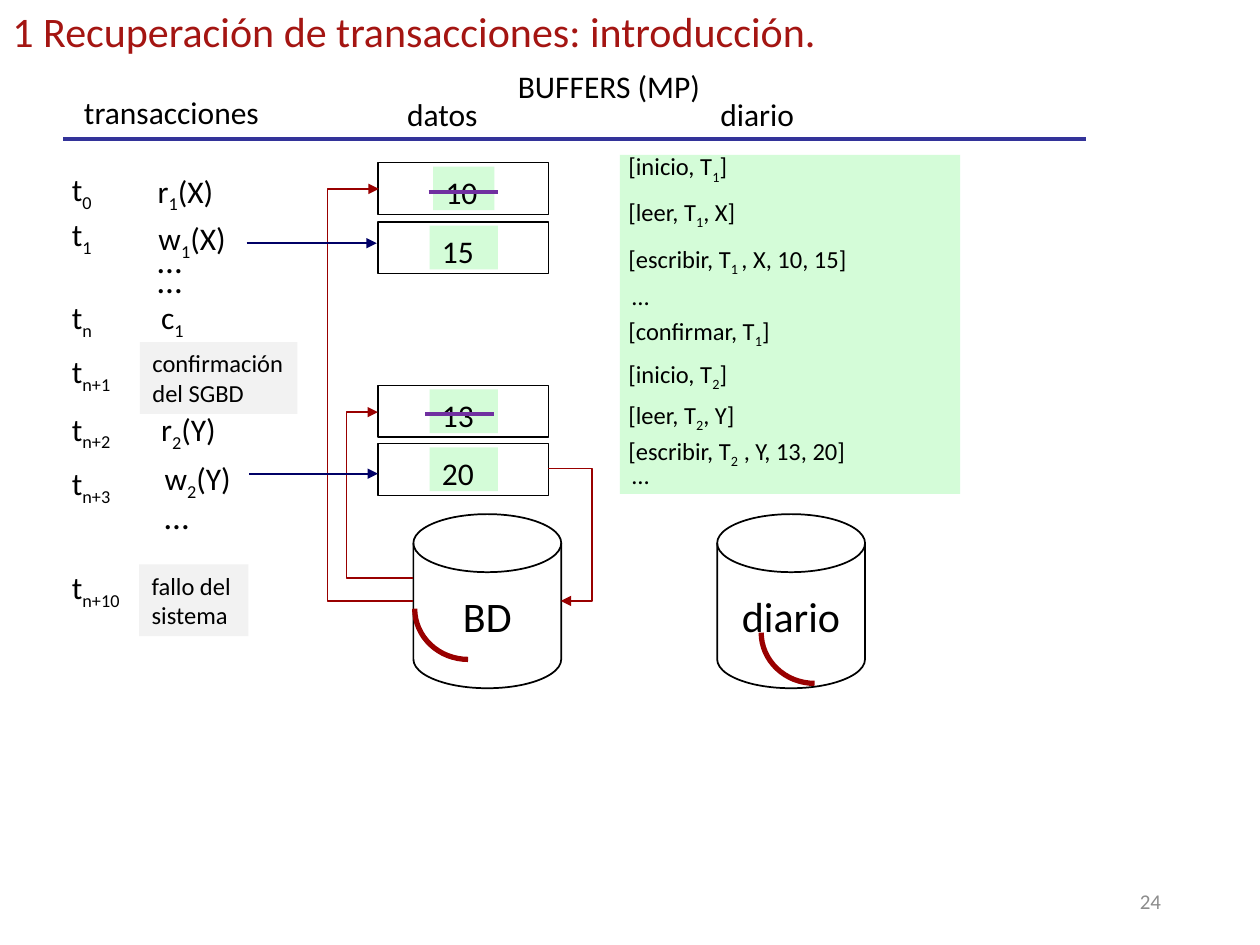
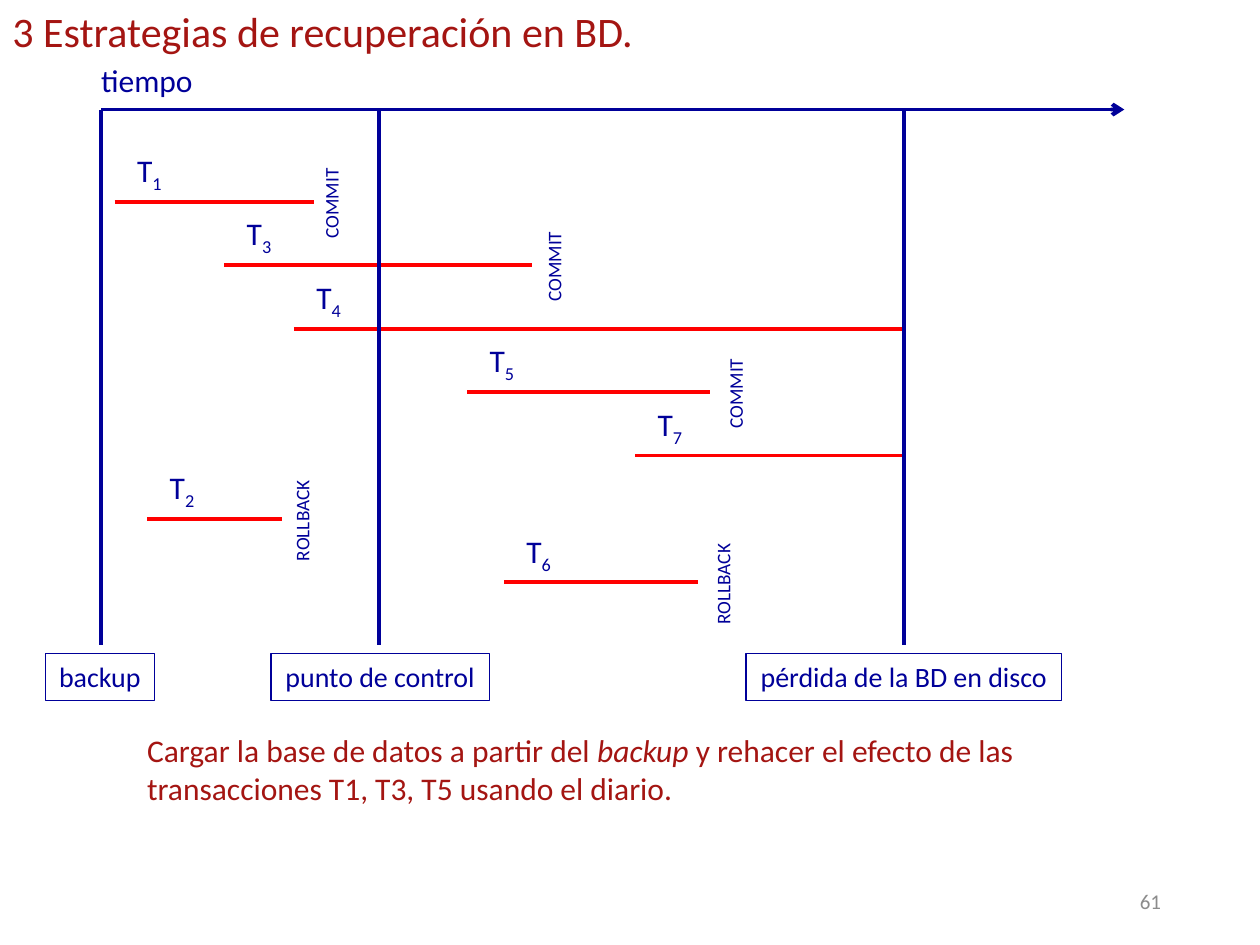
from math import cos, pi, sin

from lxml import etree
from pptx import Presentation
from pptx.dml.color import RGBColor
from pptx.enum.shapes import MSO_CONNECTOR, MSO_SHAPE
from pptx.enum.text import MSO_ANCHOR, PP_ALIGN
from pptx.oxml.ns import qn
from pptx.util import Pt

LEFT, CENTER, RIGHT = PP_ALIGN.LEFT, PP_ALIGN.CENTER, PP_ALIGN.RIGHT
TOP, MIDDLE = MSO_ANCHOR.TOP, MSO_ANCHOR.MIDDLE
RECT, DISK = MSO_SHAPE.RECTANGLE, MSO_SHAPE.FLOWCHART_MAGNETIC_DISK
STRAIGHT, ELBOW = MSO_CONNECTOR.STRAIGHT, MSO_CONNECTOR.ELBOW

FONT = "Calibri"
COLORS = {
    "black": "000000", "white": "FFFFFF", "title": "A41512", "page": "8C8C8C",
    "rule": "333399", "mint": "D4FCD8", "gray": "F2F2F2", "dark_red": "990000",
    "write": "000066", "strike": "7030A0", "navy": "000099", "red": "FF0000",
}


def rgb(name):
    return RGBColor.from_string(COLORS[name])


def write(shape, text, size=18, color="black", align=LEFT, anchor=TOP,
          wrap=True, braces="sub"):
    """Fill a shape with text; the parts in braces become subscript or italic."""
    tf = shape.text_frame
    tf.word_wrap = wrap
    tf.vertical_anchor = anchor
    p = tf.paragraphs[0]
    p.alignment = align
    for i, part in enumerate(text.replace("}", "{").split("{")):
        if not part:
            continue
        r = p.add_run()
        r.text = part
        r.font.name = FONT
        r.font.size = Pt(size)
        r.font.color.rgb = rgb(color)
        if i % 2 and braces == "sub":
            r._r.get_or_add_rPr().set("baseline", "-25000")
        elif i % 2:
            r.font.italic = True


def add_text(s, text, x, y, w, h=28.8, **fmt):
    tb = s.shapes.add_textbox(Pt(x), Pt(y), Pt(w), Pt(h))
    write(tb, text, **fmt)
    return tb


def paint(shape, fill=None, line=None, weight=0.75):
    shape.shadow.inherit = False
    if fill:
        shape.fill.solid()
        shape.fill.fore_color.rgb = rgb(fill)
    else:
        shape.fill.background()
    if line:
        shape.line.color.rgb = rgb(line)
        shape.line.width = Pt(weight)
    else:
        shape.line.fill.background()


def add_box(s, x, y, w, h, text="", kind=RECT, fill=None, line=None,
            weight=0.75, **fmt):
    box = s.shapes.add_shape(kind, Pt(x), Pt(y), Pt(w), Pt(h))
    paint(box, fill, line, weight)
    if text:
        write(box, text, **fmt)


def add_line(s, x1, y1, x2, y2, color, weight=2.25, arrow=None, kind=STRAIGHT):
    c = s.shapes.add_connector(kind, Pt(x1), Pt(y1), Pt(x2), Pt(y2))
    c.line.color.rgb = rgb(color)
    c.line.width = Pt(weight)
    if arrow:
        ln = c.line._get_or_add_ln()
        etree.SubElement(ln, qn("a:tailEnd")).set("type", arrow)
    etree.SubElement(c._element.spPr, qn("a:effectLst"))
    return c


def add_elbow(s, x1, y1, x2, y2, via_x):
    """Draw a bent arrow whose vertical leg runs at via_x."""
    c = add_line(s, x1, y1, x2, y2, "dark_red", 1, "triangle", ELBOW)
    geom = c._element.spPr.find(qn("a:prstGeom"))
    guides = geom.find(qn("a:avLst"))
    if guides is None:
        guides = etree.SubElement(geom, qn("a:avLst"))
    ratio = round((via_x - x1) / (x2 - x1) * 100000)
    gd = etree.SubElement(guides, qn("a:gd"))
    gd.set("name", "adj1")
    gd.set("fmla", f"val {ratio}")


def add_quarter_arc(s, x, y, w=30.5, h=29, steps=16):
    """Draw the lower left quarter of an ellipse."""
    angles = [pi / 2 * i / steps for i in range(steps + 1)]
    points = [(Pt(x + w * (1 - cos(a))), Pt(y + h * sin(a))) for a in angles]
    fb = s.shapes.build_freeform(*points[0])
    fb.add_line_segments(points[1:], close=False)
    paint(fb.convert_to_shape(), line="dark_red", weight=3)


def add_buffer(s, y, value, chip_x=245.5, chip_w=39, struck=False):
    add_box(s, 216, y, 97.5, 29.5, line="black")
    add_box(s, chip_x, y + 2.2, chip_w, 25, value, fill="mint")
    if struck:
        add_line(s, chip_x - 2.5, y + 16.5, chip_x + 37, y + 16.5, "strike")


def add_disk(s, x, name):
    add_box(s, x, 293.8, 84.5, 99.5, name, kind=DISK, fill="white",
            line="black", weight=1, size=24, align=CENTER, anchor=MIDDLE, wrap=False)


def new_slide(prs, title, number):
    s = prs.slides.add_slide(prs.slide_layouts[6])
    add_text(s, title, 0, -0.5, 480, 36, size=24, color="title", wrap=False)
    add_text(s, number, 508.5, 500.5, 162, size=12, color="page",
             align=RIGHT, anchor=MIDDLE)
    return s


def build_recovery_intro(prs):
    s = new_slide(prs, "1 Recuperación de transacciones: introducción.", "24")

    add_line(s, 36, 79.2, 620.5, 79.2, "rule")
    add_text(s, "BUFFERS (MP)", 286, 34.5, 124, align=CENTER)
    add_text(s, "transacciones", 26, 49.5, 144, align=CENTER)
    add_text(s, "datos", 225.5, 51, 74)
    add_text(s, "diario", 404.5, 50.5, 70.5)

    times = [("0", 93.5), ("1", 119.5), ("n", 167), ("n+1", 197.5),
             ("n+2", 230.5), ("n+3", 261.5), ("n+10", 321)]
    for moment, y in times:
        add_text(s, f"t{{{moment}}}", 34, y, 50)

    operations = [("r{1}(X)", 83, 94.5), ("w{1}(X)", 83.5, 121.5),
                  ("c{1}", 85, 167), ("r{2}(Y)", 85, 231), ("w{2}(Y)", 87, 259)]
    for operation, x, y in operations:
        add_text(s, operation, x, y, 72)
    for x, y in [(83, 133), (83, 144), (87, 279)]:
        add_text(s, "…", x, y, 70, 31, size=20)

    add_box(s, 80, 195.5, 90, 41, "confirmación del SGBD", fill="gray", size=14)
    add_box(s, 79.5, 322.5, 62.5, 41, "fallo del sistema", fill="gray", size=14)

    add_box(s, 354.2, 88.5, 194.5, 193.7, fill="mint")
    journal = [("[inicio, T{1}]", 83), ("[leer, T{1}, X]", 109.2),
               ("[escribir, T{1 }, X, 10, 15]", 136), ("[confirmar, T{1}]", 177.2),
               ("[inicio, T{2}]", 201.8), ("[leer, T{2}, Y]", 224.8),
               ("[escribir, T{2} , Y, 13, 20]", 245.5)]
    for entry, y in journal:
        add_text(s, entry, 352, y, 180, 24.5, size=14)
    for y in (157, 259.5):
        add_text(s, "…", 354.2, y, 40, 24.5, size=14)

    add_buffer(s, 93, "10", 247.5, 35, struck=True)
    add_buffer(s, 126.8, "15")
    add_buffer(s, 220.3, "13", struck=True)
    add_buffer(s, 253.5, "20")

    add_disk(s, 236.2, "BD")
    add_disk(s, 409.8, "diario")
    add_quarter_arc(s, 237, 347.8)
    add_quarter_arc(s, 435, 361.5)

    add_elbow(s, 236.2, 330.5, 216, 235.5, 198)
    add_elbow(s, 236.2, 343.4, 216.5, 108, 187.2)
    add_elbow(s, 313.2, 267.8, 320.4, 343.4, 338.4)
    add_line(s, 141, 139, 215.3, 139, "write", 1, "triangle")
    add_line(s, 142.5, 270.7, 216, 270.7, "write", 1, "triangle")


def build_recovery_strategies(prs):
    s = new_slide(prs, "3 Estrategias de recuperación en BD.", "61")
    axis_y, bottom = 62.6, 368.6
    backup, checkpoint, loss = 57.8, 216.7, 516.4

    tb = add_text(s, "tiempo", backup, 31.5, 96, color="navy")
    tb.text_frame.margin_left = tb.text_frame.margin_right = 0

    # number, start, end, outcome, centre of the outcome label
    transactions = [
        (1, 65.5, 179.5, "COMMIT", 189.5),
        (3, 128.2, 304, "COMMIT", 316.8),
        (4, 168, loss, None, None),
        (5, 267, 406, "COMMIT", 420.5),
        (7, 363, loss, None, None),
        (2, 84.2, 161, "ROLLBACK", 172.8),
        (6, 288, 398.7, "ROLLBACK", 413.3),
    ]
    for row, (number, start, end, outcome, center) in enumerate(transactions):
        y = 115.2 + 36.27 * row
        add_text(s, f"T{{{number}}}", start, y - 32.5, 39.6,
                 color="navy", align=CENTER)
        add_line(s, start, y, end, y, "red")
        if outcome:
            tb = add_text(s, outcome, center - 36.7, y - 9.5, 73.4, 21,
                          size=11, color="navy", align=CENTER)
            tb.rotation = 270

    add_line(s, backup, axis_y, 642.5, axis_y, "navy", arrow="arrow")
    events = [("backup", backup, 26, 62.2),
              ("punto de control", checkpoint, 154.8, 124.8),
              ("pérdida de la BD en disco", loss, 426.3, 180.3)]
    for name, event_x, box_x, box_w in events:
        add_line(s, event_x, axis_y, event_x, bottom, "navy")
        add_box(s, box_x, 373.5, box_w, 26.8, name, line="navy",
                size=16, color="navy", align=CENTER, wrap=False)

    add_text(s, "Cargar la base de datos a partir del {backup }y rehacer el efecto "
             "de las transacciones T1, T3, T5 usando el diario.",
             77, 414, 565, 51, color="title", braces="italic")


def main():
    prs = Presentation()
    prs.slide_width, prs.slide_height = Pt(720), Pt(540)
    build_recovery_intro(prs)
    build_recovery_strategies(prs)
    prs.save("out.pptx")


if __name__ == "__main__":
    main()
